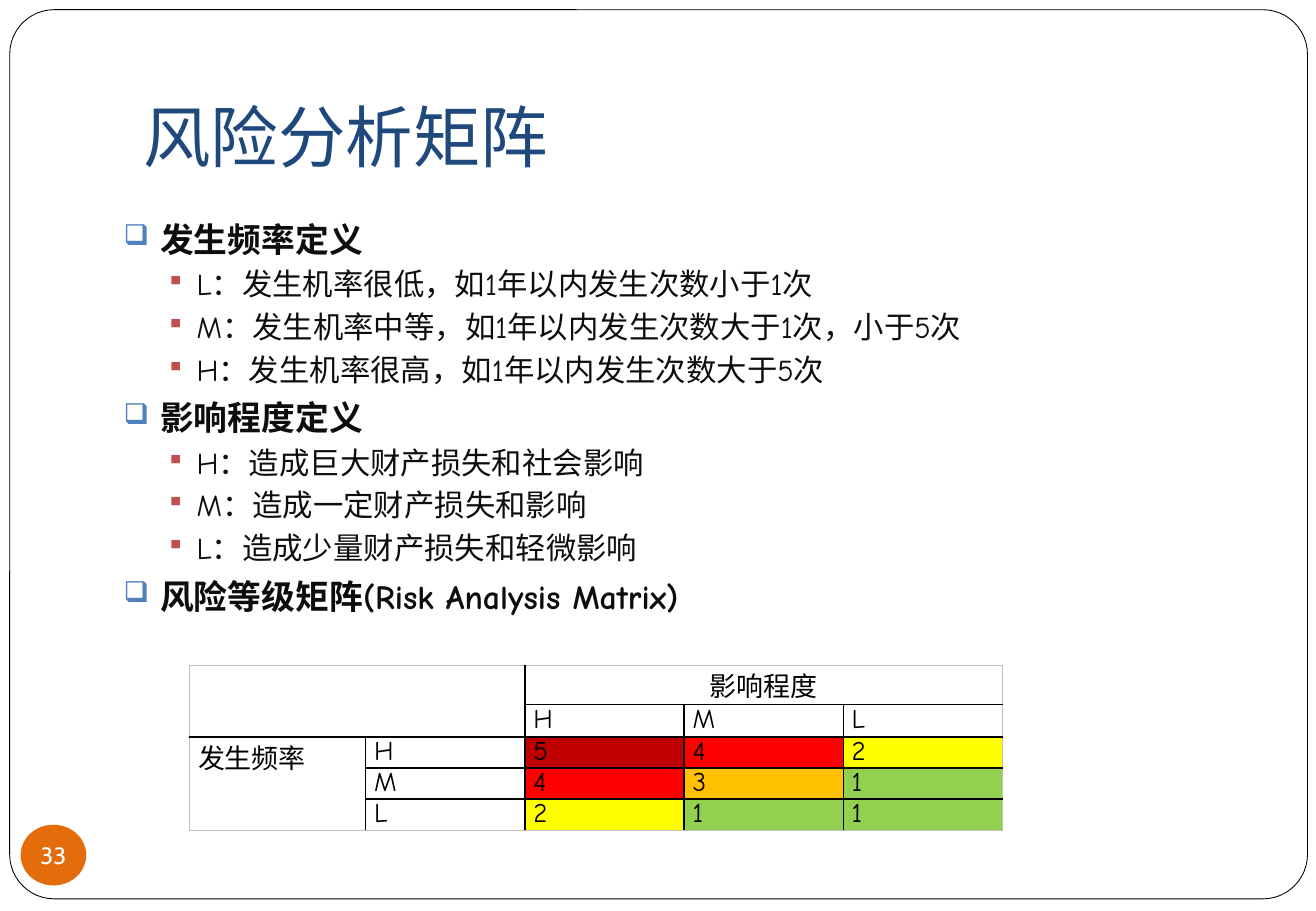
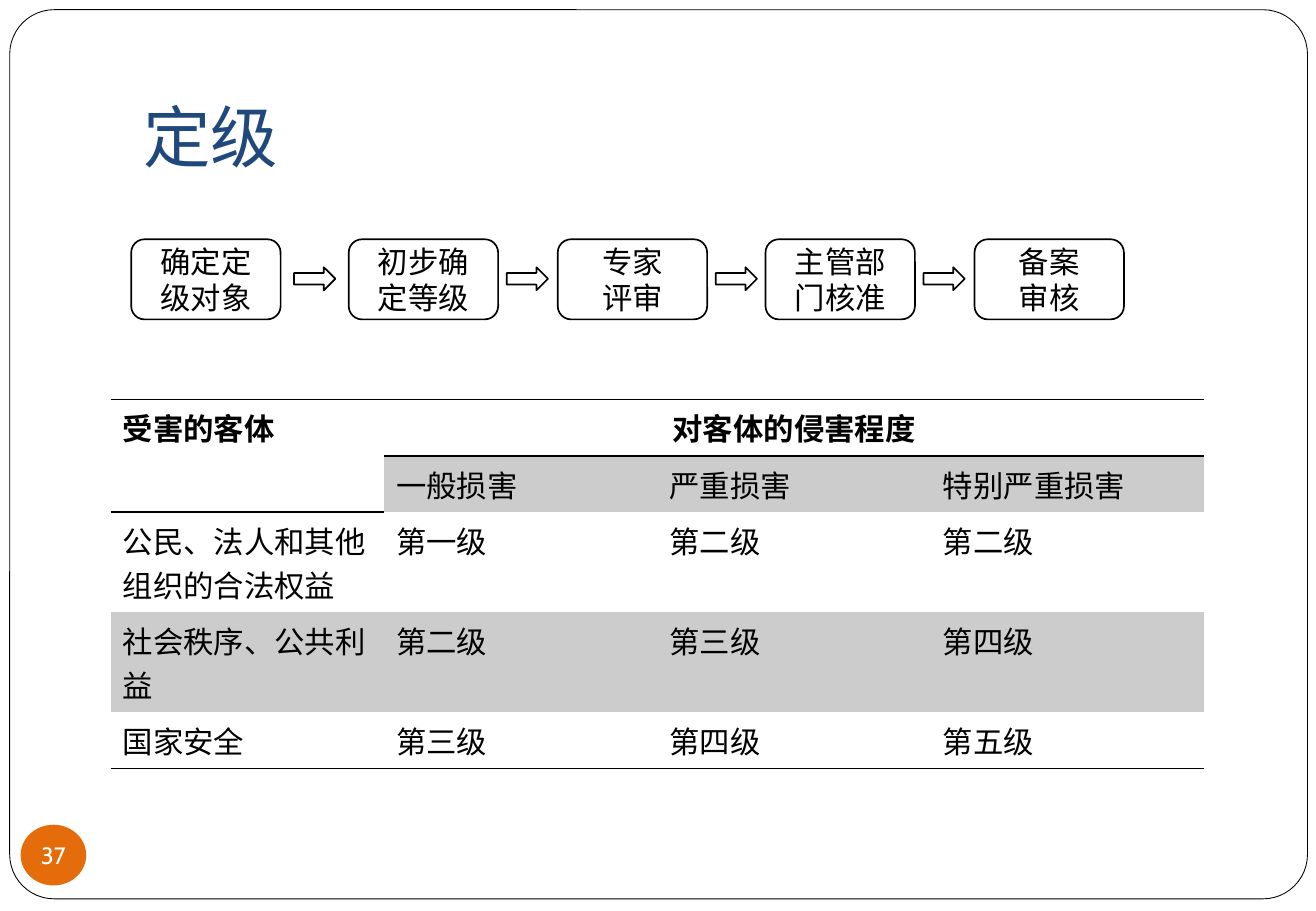
from lxml import etree
from pptx import Presentation
from pptx import util as u
from pptx.dml.color import RGBColor
from pptx.enum import shapes, text
from pptx.oxml.ns import qn

PX = 9144
LATIN, CJK, NUMBER = "Comic Neue", "Noto Sans CJK SC", "Cabin"
WHITE = RGBColor(0xFF, 0xFF, 0xFF)
BLACK = RGBColor(0, 0, 0)
INK = RGBColor(0x0D, 0x0D, 0x0D)
NAVY = RGBColor(0x1F, 0x49, 0x7D)
ORANGE = RGBColor(0xE4, 0x6C, 0x0A)
BLUE = RGBColor(0x4F, 0x81, 0xBD)
BRICK = RGBColor(0xC0, 0x50, 0x4D)
EDGE = RGBColor(0xBF, 0xBF, 0xBF)
BAND = RGBColor(0xCC, 0xCC, 0xCC)
RISK = {
    "5": RGBColor(0xC0, 0, 0),
    "4": RGBColor(0xFF, 0, 0),
    "3": RGBColor(0xFF, 0xC0, 0),
    "2": RGBColor(0xFF, 0xFF, 0),
    "1": RGBColor(0x92, 0xD0, 0x50),
}
PLAIN_TABLE = "{2D5ABB26-0587-4C30-8999-92F81FD0307C}"

DEFINITIONS = [
    ("发生频率定义", [
        "L：发生机率很低，如1年以内发生次数小于1次",
        "M：发生机率中等，如1年以内发生次数大于1次，小于5次",
        "H：发生机率很高，如1年以内发生次数大于5次"]),
    ("影响程度定义", [
        "H：造成巨大财产损失和社会影响",
        "M：造成一定财产损失和影响",
        "L：造成少量财产损失和轻微影响"]),
    ("风险等级矩阵(Risk Analysis Matrix)", []),
]
RISK_ROWS = [
    ["", "", "影响程度", "", ""],
    ["", "", "H", "M", "L"],
    ["发生频率", "H", "5", "4", "2"],
    ["", "M", "4", "3", "1"],
    ["", "L", "2", "1", "1"],
]
STEPS = [(108, "确定定级对象"), (287, "初步确定等级"), (459, "专家\n评审"),
         (630, "主管部门核准"), (802, "备案\n审核")]
GRADE_ROWS = [
    ["受害的客体", "对客体的侵害程度", "", ""],
    ["", "一般损害", "严重损害", "特别严重损害"],
    ["公民、法人和其他组织的合法权益", "第一级", "第二级", "第二级"],
    ["社会秩序、公共利益", "第二级", "第三级", "第四级"],
    ["国家安全", "第三级", "第四级", "第五级"],
]


def px(*lengths):
    """Turn px lengths into EMU."""
    return [u.Emu(length * PX) for length in lengths]


def set_font(paragraph, size, color, name=CJK, bold=False):
    """Set the font of a whole paragraph, Latin and East Asian."""
    font = paragraph.font
    font.size, font.bold, font.name = u.Pt(size), bold, name
    font.color.rgb = color
    etree.SubElement(font._rPr, qn("a:ea"), typeface=CJK)


def set_margins(holder, left, top, right, bottom):
    """Set the insets of a text frame or a table cell."""
    holder.margin_left, holder.margin_top, holder.margin_right, holder.margin_bottom = px(
        left, top, right, bottom)


def add_shape(slide, kind, box, fill, line_width=0):
    """Add a flat shape with an optional black outline."""
    shape = slide.shapes.add_shape(kind, *px(*box))
    shape.shadow.inherit = False
    shape.fill.solid()
    shape.fill.fore_color.rgb = fill
    if line_width:
        shape.line.color.rgb = BLACK
        shape.line.width = u.Pt(line_width)
    else:
        shape.line.fill.background()
    return shape


def add_frame(slide):
    """Place the rounded page frame on the layout of the slide."""
    frame = add_shape(slide, shapes.MSO_SHAPE.ROUNDED_RECTANGLE, (8, 8, 1068, 732), WHITE, 0.5)
    frame.adjustments[0] = 0.05
    slide.slide_layout.shapes._spTree.insert(2, frame._element)


def add_slide(presentation, title, number):
    """Add a slide with its title and round page number."""
    slide = presentation.slides.add_slide(presentation.slide_layouts[5])
    heading = slide.shapes.title
    heading.left, heading.top, heading.width, heading.height = px(108, 30, 921, 125)
    frame = heading.text_frame
    frame.text = title
    frame.vertical_anchor = text.MSO_ANCHOR.BOTTOM
    set_margins(frame, 10, 5, 10, 10)
    frame.paragraphs[0].alignment = text.PP_ALIGN.LEFT
    set_font(frame.paragraphs[0], 40, NAVY, LATIN)

    badge = add_shape(slide, shapes.MSO_SHAPE.OVAL, (17, 679, 54, 50), ORANGE)
    frame = badge.text_frame
    frame.text = str(number)
    frame.word_wrap = False
    frame.vertical_anchor = text.MSO_ANCHOR.MIDDLE
    set_margins(frame, 0, 0, 0, 0)
    frame.paragraphs[0].alignment = text.PP_ALIGN.CENTER
    set_font(frame.paragraphs[0], 14, WHITE, NUMBER)
    return slide


def set_bullet(paragraph, character, color, left, hanging):
    """Give a paragraph a coloured bullet and a hanging indent."""
    properties = paragraph._p.get_or_add_pPr()
    properties.set("marL", str(left * PX))
    properties.set("indent", str(-hanging * PX))
    bullet_color = etree.SubElement(properties, qn("a:buClr"))
    etree.SubElement(bullet_color, qn("a:srgbClr"), val=str(color))
    etree.SubElement(properties, qn("a:buSzPct"), val="85000")
    etree.SubElement(properties, qn("a:buChar"), char=character)


def add_definitions(slide, box):
    """Add the two-level list of definitions."""
    frame = slide.shapes.add_textbox(*px(*box)).text_frame
    frame.word_wrap = True
    lines = []
    for heading, items in DEFINITIONS:
        lines += [(heading, True)] + [(item, False) for item in items]
    frame.text = "\n".join(line for line, _ in lines)
    for paragraph, (_, is_heading) in zip(frame.paragraphs, lines):
        if is_heading:
            set_bullet(paragraph, "❑", BLUE, 30, 30)
        else:
            set_bullet(paragraph, "▪", BRICK, 60, 25)
        paragraph.space_before = u.Pt(5.8 if is_heading else 3.7)
        set_font(paragraph, 20 if is_heading else 18, INK, LATIN, is_heading)


def add_table(slide, left, top, widths, heights, rows, merges):
    """Add an unstyled table with its text and merged cells."""
    frame = slide.shapes.add_table(
        len(rows), len(widths), *px(left, top, sum(widths), sum(heights)))
    table = frame.table
    table._tbl.tblPr.find(qn("a:tableStyleId")).text = PLAIN_TABLE
    table.first_row = table.horz_banding = False
    for lines, lengths, side in ((table.columns, widths, "width"), (table.rows, heights, "height")):
        for line, length in zip(lines, px(*lengths)):
            setattr(line, side, length)
    for first, last in merges:
        table.cell(*first).merge(table.cell(*last))
    for i, row in enumerate(rows):
        for j, value in enumerate(row):
            table.cell(i, j).text = value
    return table


def set_borders(cell, **colors):
    """Draw 1 pt borders on the sides L, R, T and B, given in that order."""
    properties = cell._tc.get_or_add_tcPr()
    for side, color in colors.items():
        line = etree.SubElement(properties, qn("a:ln" + side), w=str(u.Pt(1)))
        fill = etree.SubElement(line, qn("a:solidFill"))
        etree.SubElement(fill, qn("a:srgbClr"), val=str(color))


def set_fill(cell, color):
    """Fill a cell, or leave it clear when there is no colour."""
    if color is None:
        cell.fill.background()
    else:
        cell.fill.solid()
        cell.fill.fore_color.rgb = color


def add_risk_matrix(slide, left, top):
    """Add the coloured matrix of frequency against impact."""
    table = add_table(slide, left, top, [145] + [131] * 4, [32] + [25] * 4, RISK_ROWS,
                      [((0, 0), (1, 1)), ((0, 2), (0, 4)), ((2, 0), (4, 0))])
    last = len(RISK_ROWS)
    for i, row in enumerate(RISK_ROWS):
        for j, value in enumerate(row):
            cell = table.cell(i, j)
            set_margins(cell, 7, 0, 7, 0)
            set_borders(cell,
                        L=BLACK if j else EDGE,
                        R=EDGE if j + cell.span_width >= last else BLACK,
                        T=BLACK if i else EDGE,
                        B=EDGE if i + cell.span_height >= last else BLACK)
            set_fill(cell, RISK.get(value))
            paragraph = cell.text_frame.paragraphs[0]
            paragraph.alignment = text.PP_ALIGN.JUSTIFY if i else text.PP_ALIGN.CENTER
            if len(value) < 2:
                paragraph.line_spacing = 0.96
            set_font(paragraph, 16, BLACK, LATIN)


def add_process(slide, top, width, height):
    """Add the row of steps with an arrow centred in each gap."""
    arrow_width, arrow_height = 34, 19
    for index, (left, label) in enumerate(STEPS):
        step = add_shape(slide, shapes.MSO_SHAPE.ROUNDED_RECTANGLE,
                         (left, top, width, height), WHITE, 1)
        frame = step.text_frame
        frame.text = label
        frame.word_wrap = True
        frame.vertical_anchor = text.MSO_ANCHOR.MIDDLE
        set_margins(frame, 10, 5, 10, 5)
        for paragraph in frame.paragraphs:
            paragraph.alignment = text.PP_ALIGN.CENTER
            set_font(paragraph, 18, BLACK)
        if index:
            gap_middle = (STEPS[index - 1][0] + width + left) // 2
            add_shape(slide, shapes.MSO_SHAPE.RIGHT_ARROW,
                      (gap_middle - arrow_width // 2, top + (height - arrow_height) // 2,
                       arrow_width, arrow_height), WHITE, 1)


def add_grade_table(slide, left, top):
    """Add the banded table of protection grades."""
    table = add_table(slide, left, top, [225] * 4, [46, 46, 82, 82, 46], GRADE_ROWS,
                      [((0, 0), (1, 0)), ((0, 1), (0, 3))])
    last = len(GRADE_ROWS) - 1
    for i, row in enumerate(GRADE_ROWS):
        for j in range(len(row)):
            cell = table.cell(i, j)
            borders = {}
            if i == 0:
                borders["T"] = BLACK
            if i in (0, last) or (i, j) == (1, 0):
                borders["B"] = BLACK
            set_borders(cell, **borders)
            set_fill(cell, BAND if i == 3 or (i == 1 and j) else None)
            paragraph = cell.text_frame.paragraphs[0]
            if i == 0 and j:
                paragraph.alignment = text.PP_ALIGN.CENTER
            set_font(paragraph, 18, BLACK, bold=i == 0)


def main():
    """Build both slides and save them."""
    presentation = Presentation()
    presentation.slide_width, presentation.slide_height = px(1083, 750)

    risk = add_slide(presentation, "风险分析矩阵", 33)
    add_frame(risk)
    add_definitions(risk, (92, 175, 900, 389))
    add_risk_matrix(risk, 156, 548)

    grading = add_slide(presentation, "定级", 37)
    add_grade_table(grading, 91, 329)
    add_process(grading, 197, 123, 66)

    presentation.save("out.pptx")


if __name__ == "__main__":
    main()
